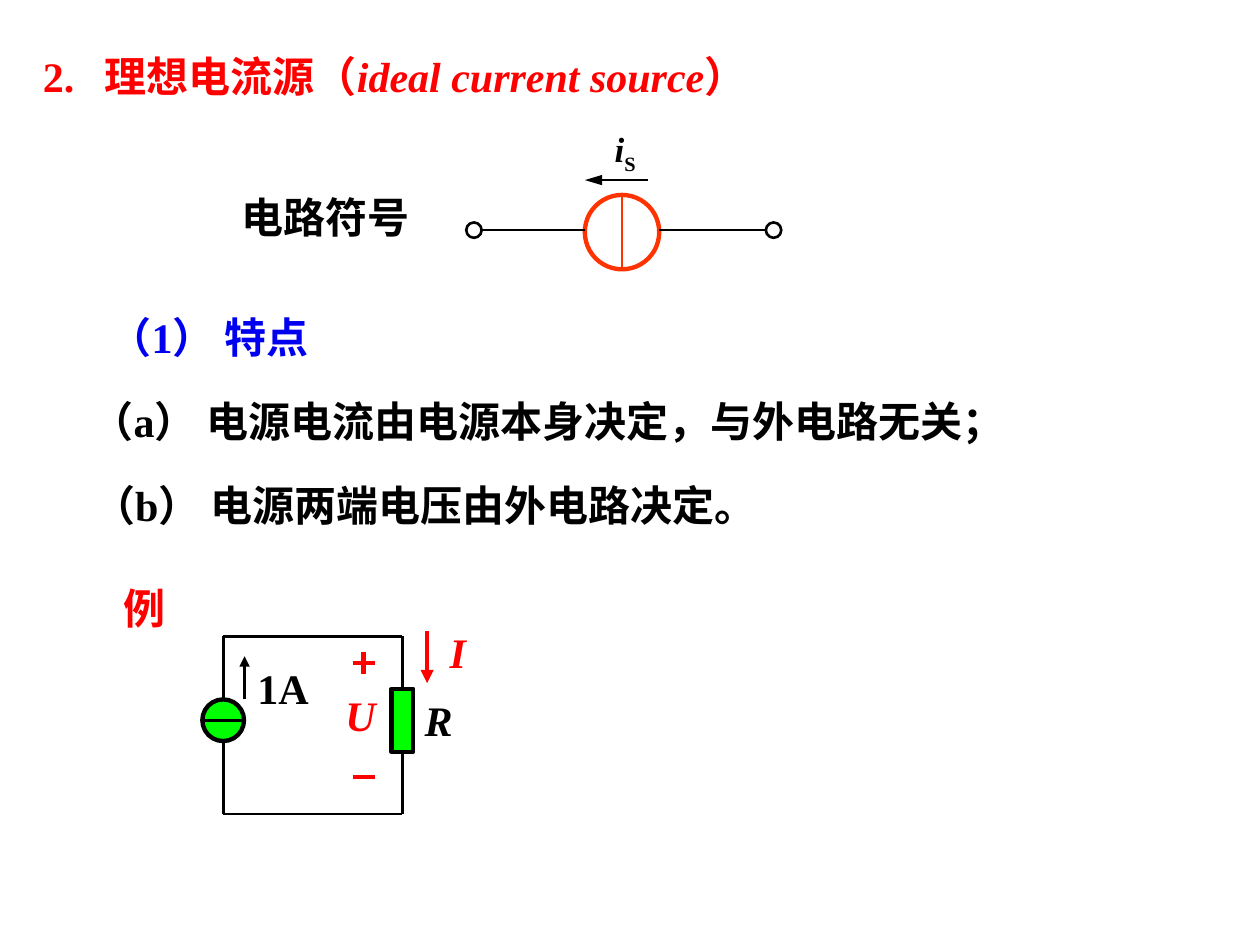
from dataclasses import dataclass

import pptx
import pptx.dml.color
import pptx.enum.shapes
import pptx.enum.text
import pptx.oxml
import pptx.oxml.ns
import pptx.util

Cm = pptx.util.Cm
Pt = pptx.util.Pt
SHAPE = pptx.enum.shapes.MSO_SHAPE
ALIGN = pptx.enum.text.PP_ALIGN
ANCHOR = pptx.enum.text.MSO_ANCHOR
TOP, BOTTOM = 0, 2
LINE_HEIGHT = 1.27


@dataclass(frozen=True)
class Theme:
    """Colours, font and sizes of the slide."""
    font: str = "Times New Roman"
    ink: str = "000000"
    accent: str = "FF0000"
    heading: str = "0000F0"
    source: str = "FF3300"
    component: str = "00FF00"
    text_size: float = 24
    symbol_size: float = 20
    thin: float = 1.5
    thick: float = 2.5


@dataclass(frozen=True)
class Box:
    """Area in centimetres."""
    left: float
    top: float
    width: float
    height: float

    def inner(self, left, top, width, height=LINE_HEIGHT):
        """Return a box placed relative to this one."""
        return Box(self.left + left, self.top + top, width, height)

    def point(self, x, y):
        """Return a point placed relative to this box."""
        return self.left + x, self.top + y

    def lengths(self):
        """Return the four lengths of the box."""
        return Cm(self.left), Cm(self.top), Cm(self.width), Cm(self.height)


THEME = Theme()


def rgb(colour):
    """Turn a hex string into a colour."""
    return pptx.dml.color.RGBColor.from_string(colour)


def format_runs(paragraph, colour, size=THEME.text_size, italic=False):
    """Give every run of a paragraph the slide's bold face."""
    for run in paragraph.runs:
        run.font.name = THEME.font
        run.font.size = Pt(size)
        run.font.bold = True
        run.font.italic = italic
        run.font.color.rgb = rgb(colour)


def add_text(slide, box, text, colour=THEME.ink, align=ALIGN.CENTER, italic=False,
             wrap=True, size=THEME.text_size, anchor=ANCHOR.MIDDLE):
    """Add a one-line text box and return its paragraph."""
    frame = slide.shapes.add_textbox(*box.lengths()).text_frame
    frame.word_wrap = wrap
    frame.vertical_anchor = anchor
    frame.text = text
    paragraph = frame.paragraphs[0]
    paragraph.alignment = align
    format_runs(paragraph, colour, size, italic)
    return paragraph


def add_line(slide, start, end, colour=THEME.ink, width=THEME.thin, head_length=None):
    """Add a straight line, with an arrowhead if a head length is given."""
    line = slide.shapes.add_connector(
        pptx.enum.shapes.MSO_CONNECTOR.STRAIGHT, *map(Cm, start + end))
    line.line.color.rgb = rgb(colour)
    line.line.width = Pt(width)
    properties = line._element.spPr
    if head_length:
        outline = line.line._get_or_add_ln()
        head = pptx.oxml.parse_xml(
            f'<a:tailEnd {pptx.oxml.ns.nsdecls("a")} type="triangle" w="med" len="{head_length}"/>')
        outline.append(head)
    properties.append(pptx.oxml.parse_xml(f'<a:effectLst {pptx.oxml.ns.nsdecls("a")}/>'))
    return line


def add_component(slide, kind, box, fill=None, outline=THEME.ink, width=THEME.thick):
    """Add an outlined part of a circuit."""
    component = slide.shapes.add_shape(kind, *box.lengths())
    component.shadow.inherit = False
    component.line.color.rgb = rgb(outline)
    component.line.width = Pt(width)
    if fill:
        component.fill.solid()
        component.fill.fore_color.rgb = rgb(fill)
    else:
        component.fill.background()
    return component


def place_title(slide, box):
    """Move and format the title placeholder."""
    title = slide.shapes.title
    title.left, title.top, title.width, title.height = box.lengths()
    frame = title.text_frame
    frame.word_wrap = True
    frame.auto_size = pptx.enum.text.MSO_AUTO_SIZE.NONE
    frame.vertical_anchor = ANCHOR.MIDDLE
    paragraph = frame.paragraphs[0]
    for part in ("2.\t理想电流源（", "ideal current source", "）"):
        paragraph.add_run().text = part
    hanging = Cm(1.25)
    properties = paragraph._p.get_or_add_pPr()
    properties.set("marL", str(hanging))
    properties.set("indent", str(-hanging))
    paragraph.alignment = ALIGN.LEFT
    format_runs(paragraph, THEME.accent)
    paragraph.runs[1].font.italic = True


def draw_symbol(slide, box):
    """Draw the current source symbol between two terminals."""
    wire, terminal, diameter = 2.13, 0.31, 1.5
    left, top = 2.39, box.height - diameter
    right, centre = left + diameter, left + diameter / 2
    label = add_text(slide, box.inner(left + 0.33, 0, 0.97, 1.09), "i",
                     italic=True, wrap=False, size=THEME.symbol_size)
    label.add_run().text = "S"
    format_runs(label, THEME.ink, THEME.symbol_size)
    label.runs[0].font.italic = True
    label.runs[1].font._element.set("baseline", "-25000")
    add_line(slide, box.point(left + 1.27, 1.12), box.point(left, 1.12), head_length="lg")
    add_component(slide, SHAPE.OVAL, box.inner(left, top, diameter, diameter),
                  outline=THEME.source)
    add_line(slide, box.point(centre, top), box.point(centre, box.height), THEME.source)
    for edge in (0, box.width - terminal):
        add_component(slide, SHAPE.OVAL,
                      box.inner(edge, wire - terminal / 2, terminal, terminal),
                      width=THEME.thin)
    for start, end in ((terminal, left), (right, box.width - terminal)):
        add_line(slide, box.point(start, wire), box.point(end, wire))


def write_features(slide, box):
    """Write the heading and the two features at an equal pitch."""
    pitch = (box.height - LINE_HEIGHT) / 2
    rows = (
        ("（1） 特点", 0, 5.82, THEME.heading, ALIGN.CENTER),
        ("（a） 电源电流由电源本身决定，与外电路无关；", 0.3, 19.8, THEME.ink, ALIGN.JUSTIFY),
        ("（b） 电源两端电压由外电路决定。", 0.33, 16.1, THEME.ink, ALIGN.JUSTIFY),
    )
    for index, (text, left, width, colour, align) in enumerate(rows):
        add_text(slide, box.inner(left, index * pitch, width), text, colour, align)


def draw_example(slide, box):
    """Draw the example loop of a 1 A source and a resistor."""
    left, right, top, bottom = 2.26, 5.87, 1.22, 4.8
    middle, radius = 2.91, 0.42
    add_text(slide, box.inner(0, 0, 2.16), "例", THEME.accent, ALIGN.LEFT, anchor=ANCHOR.TOP)

    add_component(slide, SHAPE.OVAL,
                  box.inner(left - radius, middle - radius, 2 * radius, 2 * radius),
                  THEME.component)
    resistor = add_component(slide, SHAPE.RECTANGLE,
                             box.inner(right - 0.22, middle - LINE_HEIGHT / 2, 0.44),
                             THEME.component)
    for rail, side, edge in ((top, TOP, middle - radius), (bottom, BOTTOM, middle + radius)):
        add_line(slide, box.point(left, rail), box.point(right, rail))
        add_line(slide, box.point(left, rail), box.point(left, edge))
        lead = add_line(slide, box.point(right, rail), box.point(right, middle))
        lead.end_connect(resistor, side)
    add_line(slide, box.point(left - radius, middle), box.point(left + radius, middle))
    add_line(slide, box.point(2.69, 2.49), box.point(2.69, 1.62), head_length="med")
    add_line(slide, box.point(6.37, 1.12), box.point(6.37, 2.16),
             THEME.accent, THEME.thick, "med")

    sign, plus, minus, arm = 5.09, 1.75, 4.06, 0.22
    for dx, dy, level in ((arm, 0, plus), (0, arm, plus), (arm, 0, minus)):
        add_line(slide, box.point(sign - dx, level - dy), box.point(sign + dx, level + dy),
                 THEME.accent, THEME.thick)

    for text, x, y, width, colour, italic in (
            ("1A", 2.69, 1.62, 1.55, THEME.ink, False),
            ("U", 4.47, 2.16, 1.12, THEME.accent, True),
            ("I", 6.57, 0.89, 0.84, THEME.accent, True),
            ("R", 6.07, 2.26, 1.07, THEME.ink, True)):
        add_text(slide, box.inner(x, y, width), text, colour, italic=italic, wrap=False)


def main():
    """Build and save the slide."""
    deck = pptx.Presentation()
    deck.slide_width, deck.slide_height = Cm(25.4), Cm(19.05)
    slide = deck.slides.add_slide(deck.slide_layouts.get_by_name("Title Only"))
    place_title(slide, Box(0.61, 0.71, 17.4, 1.63))
    add_text(slide, Box(4.6, 3.73, 3.94, LINE_HEIGHT), "电路符号")
    draw_symbol(slide, Box(9.4, 2.51, 6.35, 2.92))
    write_features(slide, Box(1.3, 6.15, 20.13, 4.65))
    draw_example(slide, Box(2.24, 11.61, 7.41, 4.8))
    deck.save("out.pptx")


if __name__ == "__main__":
    main()
